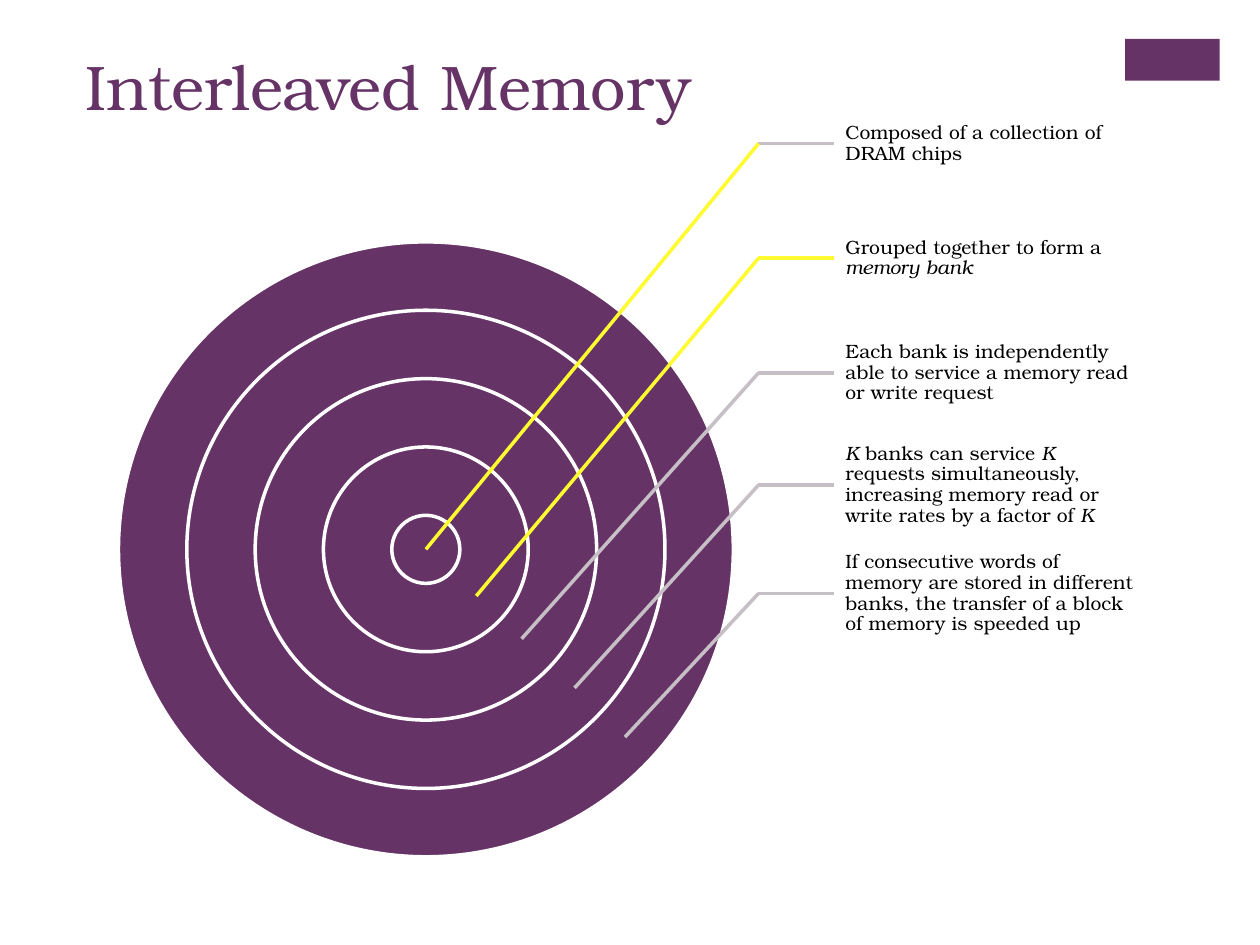
import pptx
import pptx.dml.color
import pptx.enum.shapes
import pptx.enum.text
import pptx.oxml
import pptx.util

Inches = pptx.util.Inches
Pt = pptx.util.Pt
SHAPE = pptx.enum.shapes.MSO_SHAPE
ANCHOR = pptx.enum.text.MSO_ANCHOR

PURPLE, WHITE, BLACK = "663366", "FFFFFF", "000000"
GREY, YELLOW = "C6BFC6", "FEFB31"
CENTER_X, CENTER_Y = 3.38, 4.36
INNER_D, STEP_D, RINGS = 0.54, 1.085, 5
BEND_X, LABEL_X, LABEL_W, LABEL_H = 6.02, 6.62, 2.44, 0.86

CALLOUTS = [
    (1.14, (CENTER_X, CENTER_Y), GREY, YELLOW,
     [("Composed of a collection of DRAM chips", False)]),
    (2.05, (3.78, 4.73), YELLOW, YELLOW,
     [("Grouped together to form a ", False), ("memory bank", True)]),
    (2.96, (4.14, 5.07), GREY, GREY,
     [("Each bank is independently able to service a memory read or write request", False)]),
    (3.85, (4.56, 5.46), GREY, GREY,
     [("K", True), (" banks can service ", False), ("K", True),
      (" requests simultaneously, increasing memory read or write rates by a factor of ", False),
      ("K", True)]),
    (4.71, (4.96, 5.85), GREY, GREY,
     [("If consecutive words of memory are stored in different banks, "
       "the transfer of a block of memory is speeded up", False)]),
]


def rgb(value):
    return pptx.dml.color.RGBColor.from_string(value)


def apply(target, values):
    for name, value in values.items():
        setattr(target, name, value)


class Deck:
    """Holds the text style and the current slide, and adds elements to it."""

    font = "TeX Gyre Bonum"
    line_width = Pt(2)

    def __init__(self, slide):
        self.s = slide

    def shape(self, kind, x, y, w, h, fill, line=None):
        sp = self.s.shapes.add_shape(kind, Inches(x), Inches(y), Inches(w), Inches(h))
        sp.shadow.inherit = False
        sp.fill.solid()
        sp.fill.fore_color.rgb = rgb(fill)
        if line:
            sp.line.color.rgb = rgb(line)
            sp.line.width = self.line_width
        else:
            sp.line.fill.background()

    def line(self, start, end, color):
        cx = self.s.shapes.add_connector(
            pptx.enum.shapes.MSO_CONNECTOR.STRAIGHT, *map(Inches, start + end))
        cx.line.color.rgb = rgb(color)
        cx.line.width = self.line_width
        props = cx._element.spPr
        props.append(pptx.oxml.parse_xml(
            '<a:effectLst xmlns:a="http://schemas.openxmlformats.org/drawingml/2006/main"/>'))

    def text(self, x, y, w, h, runs, size, color, frame, spacing=1.0):
        sp = self.s.shapes.add_textbox(Inches(x), Inches(y), Inches(w), Inches(h))
        tf = sp.text_frame
        apply(tf, {"word_wrap": True, **frame})
        p = tf.paragraphs[0]
        p.line_spacing = spacing
        for text, italic in runs:
            r = p.add_run()
            r.text = text
            apply(r.font, {"name": self.font, "size": Pt(size), "italic": italic})
            r.font.color.rgb = rgb(color)


def main():
    prs = pptx.Presentation()
    prs.slide_width, prs.slide_height = Inches(10), Inches(7.5)
    deck = Deck(prs.slides.add_slide(prs.slide_layouts[6]))

    deck.shape(SHAPE.RECTANGLE, 8.93, 0.31, 0.75, 0.33, PURPLE)
    deck.text(0.58, 0.33, 8.26, 1.22, [("Interleaved Memory", False)], 36, PURPLE,
              {"vertical_anchor": ANCHOR.TOP})

    for i in reversed(range(RINGS)):
        d = INNER_D + i * STEP_D
        deck.shape(SHAPE.OVAL, CENTER_X - d / 2, CENTER_Y - d / 2, d, d, PURPLE, WHITE)

    label_frame = {"vertical_anchor": ANCHOR.MIDDLE, "margin_left": Inches(0.09),
                   "margin_right": Inches(0.02), "margin_top": Inches(0.02),
                   "margin_bottom": Inches(0.02)}
    for y, target, arm_color, leader_color, runs in CALLOUTS:
        deck.text(LABEL_X, y - LABEL_H / 2, LABEL_W, LABEL_H, runs, 11, BLACK,
                  label_frame, 0.9)
        deck.line((BEND_X, y), (LABEL_X, y), arm_color)
        deck.line((BEND_X, y), target, leader_color)

    prs.save("out.pptx")


if __name__ == "__main__":
    main()
